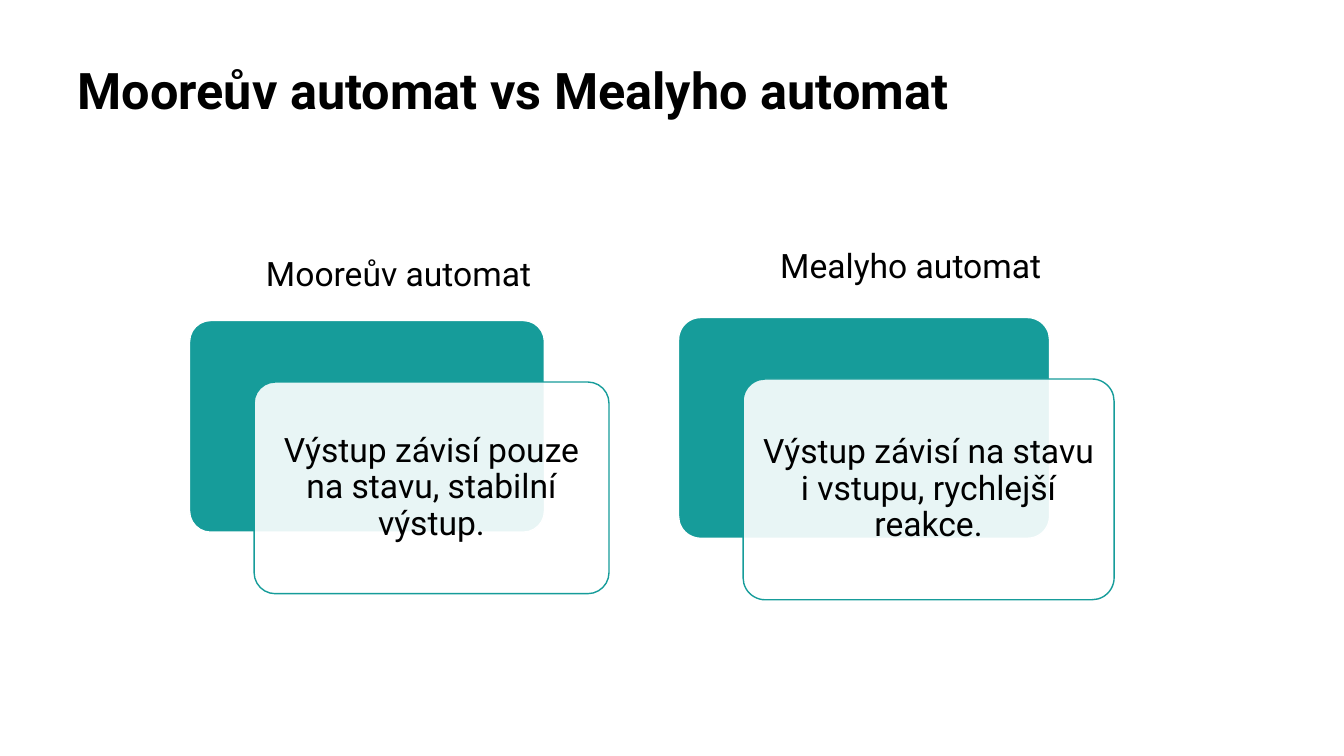
from pptx import Presentation
from pptx.dml.color import RGBColor
from pptx.enum.shapes import MSO_SHAPE
from pptx.enum.text import MSO_ANCHOR, MSO_AUTO_SIZE, PP_ALIGN
from pptx.util import Inches, Pt
from lxml import etree

# Content
TITLE = "Mooreův automat vs Mealyho automat"
# label, label box, card box, description (boxes: left, top, width, height)
AUTOMATA = [
    ("Mooreův automat", (2.54, 2.46, 2.96, 0.5), (1.88, 3.18, 3.52, 2.1),
     "Výstup závisí pouze na stavu, stabilní výstup."),
    ("Mealyho automat", (7.64, 2.38, 2.91, 0.5), (6.73, 3.15, 3.68, 2.19),
     "Výstup závisí na stavu i vstupu, rychlejší reakce."),
]
FONT, BLACK, WHITE, TEAL = "Roboto", "000000", "FFFFFF", "169C9A"
CARD_SHIFT = 0.64, 0.61
TEXT_INSET = 0.06


def color(value):
    return RGBColor.from_string(value)


def style(p, size, bold=False):
    p.font.name = FONT
    p.font.size = Pt(size)
    p.font.bold = bold
    p.font.color.rgb = color(BLACK)


def add_card(slide, box, fill, line, opacity=100):
    s = slide.shapes.add_shape(MSO_SHAPE.ROUNDED_RECTANGLE, *map(Inches, box))
    s.adjustments[0] = 0.1
    s.shadow.inherit = False
    s.fill.solid()
    s.fill.fore_color.rgb = color(fill)
    s.line.color.rgb = color(line)
    s.line.width = Pt(1)
    if opacity < 100:
        rgb = s._element.spPr.find(".//{*}solidFill/{*}srgbClr")
        ns = etree.QName(rgb).namespace
        etree.SubElement(rgb, f"{{{ns}}}alpha", val=str(opacity * 1000))


def add_description(slide, box, text):
    tf = slide.shapes.add_textbox(*map(Inches, box)).text_frame
    tf.word_wrap = True
    tf.vertical_anchor = MSO_ANCHOR.MIDDLE
    tf.margin_left = tf.margin_right = tf.margin_top = tf.margin_bottom = Inches(0.1)
    p = tf.paragraphs[0]
    p.text = text
    p.alignment = PP_ALIGN.CENTER
    p.line_spacing = 0.9
    style(p, 24)


def add_label(slide, box, text):
    tf = slide.shapes.add_textbox(*map(Inches, box)).text_frame
    tf.word_wrap = False
    tf.auto_size = MSO_AUTO_SIZE.SHAPE_TO_FIT_TEXT
    p = tf.paragraphs[0]
    p.text = text
    style(p, 24)


prs = Presentation()
prs.slide_width, prs.slide_height = Inches(13.33), Inches(7.5)
slide = prs.slides.add_slide(prs.slide_layouts[5])

# Title
title = slide.shapes.title
title.left, title.top, title.width, title.height = map(Inches, (0.67, 0.6, 11.65, 1.24))
tf = title.text_frame
tf.text = TITLE
tf.word_wrap = True
tf.auto_size = MSO_AUTO_SIZE.NONE
tf.vertical_anchor = MSO_ANCHOR.TOP
p = tf.paragraphs[0]
p.alignment = PP_ALIGN.LEFT
p.line_spacing = 0.9
style(p, 36, bold=True)

# One pair of overlapping cards per automaton
for label, label_box, card, description in AUTOMATA:
    left, top, width, height = card
    left, top = left + CARD_SHIFT[0], top + CARD_SHIFT[1]
    add_card(slide, card, TEAL, WHITE)
    add_card(slide, (left, top, width, height), WHITE, TEAL, opacity=90)
    add_description(slide, (left + TEXT_INSET, top + TEXT_INSET,
                            width - 2 * TEXT_INSET, height - 2 * TEXT_INSET), description)
    add_label(slide, label_box, label)

prs.save("out.pptx")
